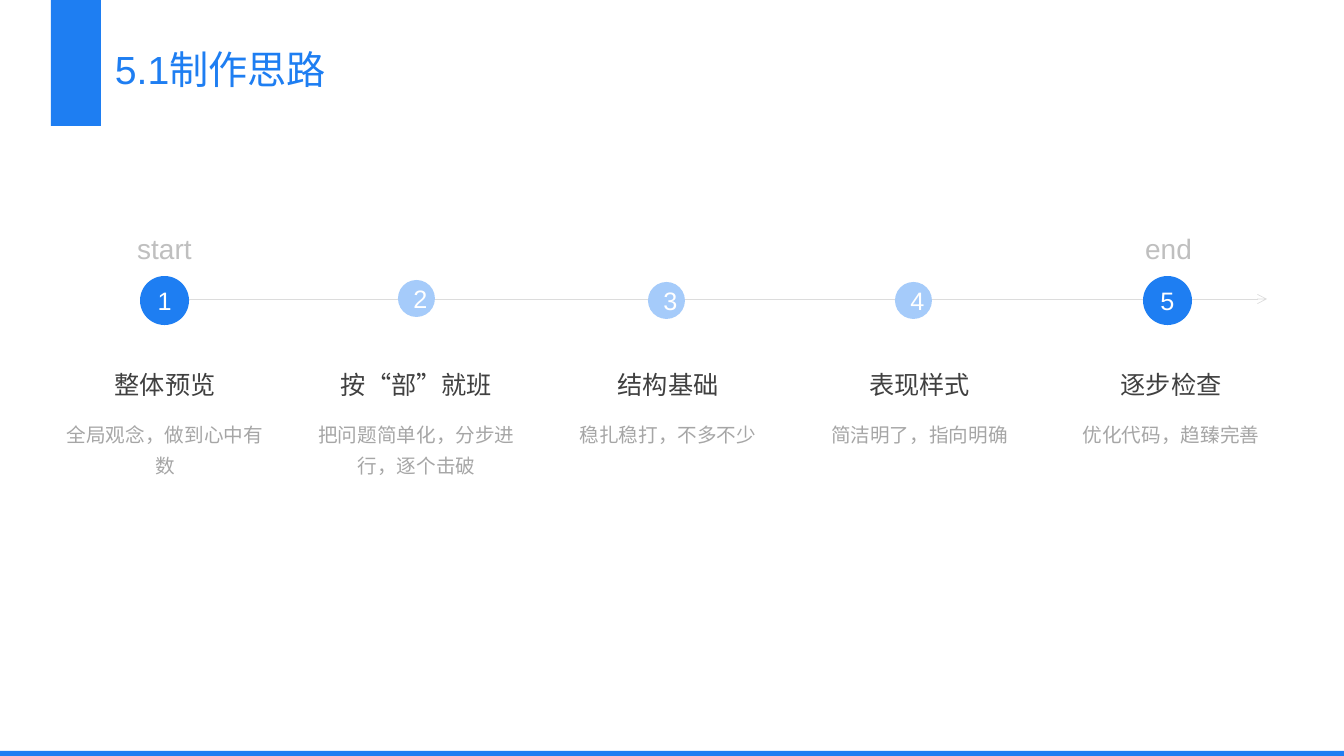
from lxml import etree
from pptx import Presentation
from pptx.dml.color import RGBColor
from pptx.enum.shapes import MSO_CONNECTOR, MSO_SHAPE
from pptx.enum.text import MSO_ANCHOR, PP_ALIGN
from pptx.oxml.ns import qn
from pptx.util import Pt

SCALE = 914400 / 100.8
RECT, OVAL = MSO_SHAPE.RECTANGLE, MSO_SHAPE.OVAL
LINE = MSO_CONNECTOR.STRAIGHT
LEFT, CENTER = PP_ALIGN.LEFT, PP_ALIGN.CENTER
TOP, MIDDLE, BOTTOM = MSO_ANCHOR.TOP, MSO_ANCHOR.MIDDLE, MSO_ANCHOR.BOTTOM
BLUE, PALE, WHITE = "1E7EF2", "A5CBFA", "FFFFFF"
DARK, GRAY, LIGHT, RULE = "404040", "A6A6A6", "BFBFBF", "DCDCDC"
FIRST, PITCH = 165, 251.5

STEPS = [
    ("整体预览", "全局观念，做到心中有数"),
    ("按“部”就班", "把问题简单化，分步进行，逐个击破"),
    ("结构基础", "稳扎稳打，不多不少"),
    ("表现样式", "简洁明了，指向明确"),
    ("逐步检查", "优化代码，趋臻完善"),
]
DOTS = [
    (140, 276, 49, BLUE),
    (398, 280, 37, PALE),
    (648, 282, 37, PALE),
    (895, 282, 37, PALE),
    (1143, 276, 49, BLUE),
]
ENDS = [("start", 123), ("end", 1127)]


def px(*sizes):
    return [round(size * SCALE) for size in sizes]


def color(code):
    return RGBColor.from_string(code)


def write(frame, text, size=18, ink=DARK, align=CENTER, anchor=TOP, space=1.3):
    frame.word_wrap = True
    frame.vertical_anchor = anchor
    para = frame.paragraphs[0]
    para.alignment = align
    para.line_spacing = space
    run = para.add_run()
    run.text = text
    run.font.name = "Arial"
    run.font.size = Pt(size)
    run.font.color.rgb = color(ink)


def label(slide, box, text, **style):
    write(slide.shapes.add_textbox(*px(*box)).text_frame, text, **style)


def block(slide, kind, box, fill):
    shape = slide.shapes.add_shape(kind, *px(*box))
    shape.shadow.inherit = False
    shape.fill.solid()
    shape.fill.fore_color.rgb = color(fill)
    shape.line.fill.background()
    return shape


def arrow(slide, ends):
    link = slide.shapes.add_connector(LINE, *px(*ends))
    link.line.color.rgb = color(RULE)
    link.line.width = Pt(0.5)
    etree.SubElement(link.line._get_or_add_ln(), qn("a:tailEnd"), type="arrow")
    etree.SubElement(link._element.spPr, qn("a:effectLst"))


def dot(slide, number, left, top, size, fill):
    shape = block(slide, OVAL, (left, top, size, size), fill)
    write(shape.text_frame, str(number), ink=WHITE, anchor=MIDDLE, space=1.0)


def step(slide, index, name, note):
    mid = FIRST + index * PITCH
    label(slide, (mid - 115.5, 350, 231, 55), name, anchor=BOTTOM)
    label(slide, (mid - 116.5, 411, 233, 208), note, size=14, ink=GRAY)


def main():
    deck = Presentation()
    deck.slide_width, deck.slide_height = px(1344, 756)
    slide = deck.slides.add_slide(deck.slide_layouts[6])
    block(slide, RECT, (0, 751, 1344, 5), BLUE)
    label(slide, (105, 26, 405, 89), "5.1制作思路", size=28, ink=BLUE, align=LEFT)
    block(slide, RECT, (51, 0, 50, 126), BLUE)
    arrow(slide, (165, 299, 1267, 299))
    for number, place in enumerate(DOTS, 1):
        dot(slide, number, *place)
    for text, left in ENDS:
        label(slide, (left, 216, 83, 55), text, size=20, ink=LIGHT)
    for index, texts in enumerate(STEPS):
        step(slide, index, *texts)
    deck.save("out.pptx")


main()
